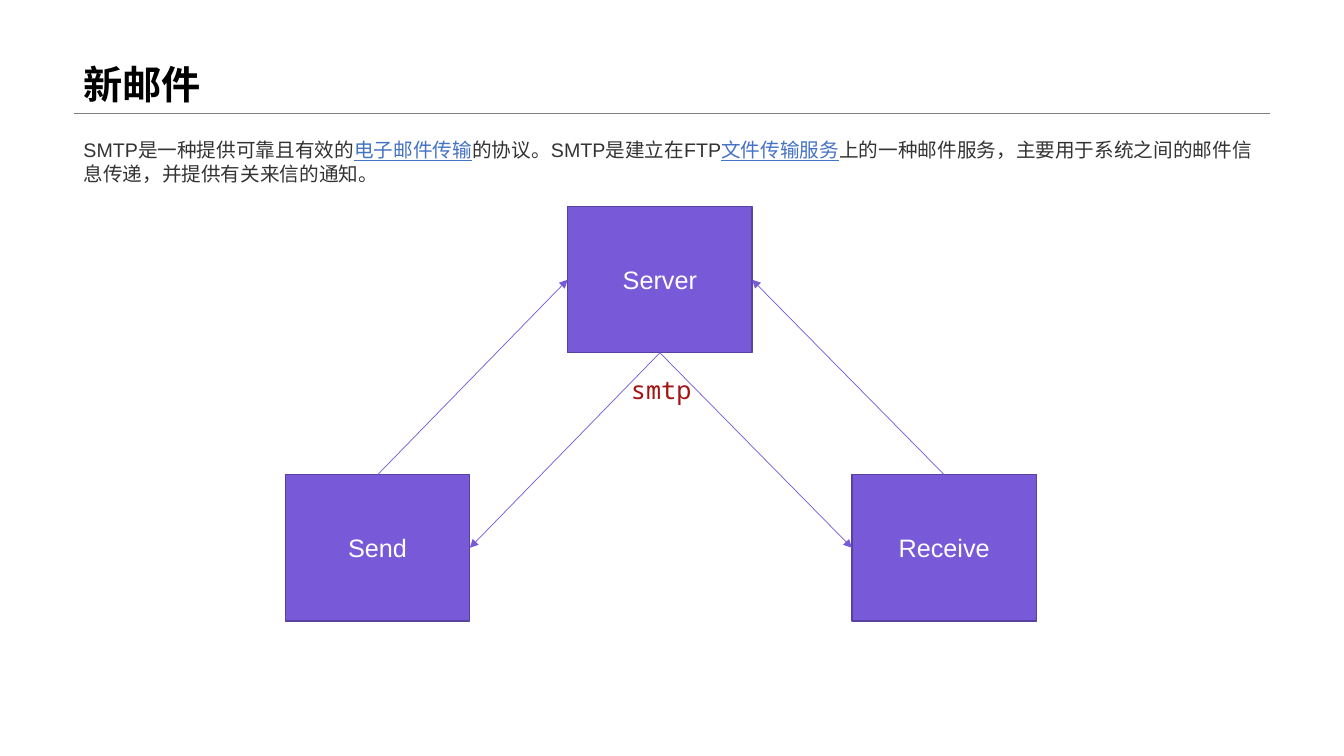
"""Build the slide that shows how SMTP mail travels between sender, server and receiver."""
from dataclasses import dataclass

from lxml.etree import SubElement
from pptx import Presentation
from pptx.dml.color import RGBColor
from pptx.enum.shapes import MSO_CONNECTOR, MSO_SHAPE
from pptx.enum.text import MSO_ANCHOR, MSO_AUTO_SIZE, PP_ALIGN
from pptx.oxml.ns import qn
from pptx.util import Inches, Pt


@dataclass(frozen=True)
class Theme:
    font: str = "Arial"
    code_font: str = "Noto Sans Mono"
    title: str = "000000"
    body: str = "333333"
    link: str = "4472C4"
    code: str = "A31515"
    box: str = "7859D7"
    box_edge: str = "59429F"
    box_text: str = "FFFFFF"
    rule: str = "808080"
    title_size: int = 28
    label_size: int = 18
    body_size: int = 14


THEME = Theme()
TITLE = "新邮件"
DESCRIPTION = [
    ("SMTP是一种提供可靠且有效的", False),
    ("电子邮件传输", True),
    ("的协议。SMTP是建立在FTP", False),
    ("文件传输服务", True),
    ("上的一种邮件服务，主要用于系统之间的邮件信息传递，并提供有关来信的通知。", False),
]
PROTOCOL = "smtp"
BOXES = {"Send": (2.83, 4.71), "Receive": (8.45, 4.71), "Server": (5.63, 2.05)}
TOP, LEFT, BOTTOM, RIGHT = range(4)
ARROWS = [
    ("Receive", TOP, "Server", RIGHT),
    ("Send", TOP, "Server", LEFT),
    ("Server", BOTTOM, "Receive", LEFT),
    ("Server", BOTTOM, "Send", RIGHT),
]
MARGIN, CONTENT_WIDTH, RULE_TOP = 0.73, 11.87, 1.12
BOX_WIDTH, BOX_HEIGHT = 1.83, 1.45


def color(value):
    return RGBColor.from_string(value)


def add_run(paragraph, text, size, ink, font=THEME.font, bold=False, underline=False):
    run = paragraph.add_run()
    run.text = text
    run.font.name = font
    run.font.size = Pt(size)
    run.font.bold = bold
    run.font.underline = underline
    run.font.color.rgb = color(ink)


def add_line(slide, start, end, ink, width):
    points = [Inches(value) for value in (*start, *end)]
    line = slide.shapes.add_connector(MSO_CONNECTOR.STRAIGHT, *points)
    line.line.color.rgb = color(ink)
    line.line.width = Pt(width)
    SubElement(line._element.spPr, qn("a:effectLst"))
    return line


def add_title(slide):
    title = slide.shapes.title
    title.left, title.top = Inches(MARGIN), Inches(0)
    title.width, title.height = Inches(CONTENT_WIDTH), Inches(RULE_TOP)
    frame = title.text_frame
    frame.auto_size = MSO_AUTO_SIZE.NONE
    frame.vertical_anchor = MSO_ANCHOR.BOTTOM
    paragraph = frame.paragraphs[0]
    paragraph.alignment = PP_ALIGN.LEFT
    paragraph.line_spacing = 0.9
    add_run(paragraph, TITLE, THEME.title_size, THEME.title, bold=True)


def add_box(slide, label, left, top):
    box = slide.shapes.add_shape(
        MSO_SHAPE.RECTANGLE, Inches(left), Inches(top), Inches(BOX_WIDTH), Inches(BOX_HEIGHT)
    )
    box.shadow.inherit = False
    box.fill.solid()
    box.fill.fore_color.rgb = color(THEME.box)
    box.line.color.rgb = color(THEME.box_edge)
    box.line.width = Pt(1)
    box.text_frame.vertical_anchor = MSO_ANCHOR.MIDDLE
    paragraph = box.text_frame.paragraphs[0]
    paragraph.alignment = PP_ALIGN.CENTER
    add_run(paragraph, label, THEME.label_size, THEME.box_text)
    return box


def add_arrow(slide, source, source_side, target, target_side):
    arrow = add_line(slide, (0, 0), (1, 1), THEME.box, 0.5)
    arrow.begin_connect(source, source_side)
    arrow.end_connect(target, target_side)
    SubElement(arrow.line._get_or_add_ln(), qn("a:tailEnd"), type="triangle")


def add_text(slide, left, top, width, height):
    box = slide.shapes.add_textbox(Inches(left), Inches(top), Inches(width), Inches(height))
    box.text_frame.word_wrap = True
    box.text_frame.auto_size = MSO_AUTO_SIZE.SHAPE_TO_FIT_TEXT
    return box.text_frame.paragraphs[0]


def build():
    presentation = Presentation()
    presentation.slide_width, presentation.slide_height = Inches(13.33), Inches(7.5)
    slide = presentation.slides.add_slide(presentation.slide_layouts[5])
    add_line(slide, (MARGIN, RULE_TOP), (MARGIN + CONTENT_WIDTH, RULE_TOP), THEME.rule, 0.25)
    add_title(slide)
    boxes = {label: add_box(slide, label, *place) for label, place in BOXES.items()}
    for source, source_side, target, target_side in ARROWS:
        add_arrow(slide, boxes[source], source_side, boxes[target], target_side)
    protocol = add_text(slide, 6.16, 3.66, 0.85, 0.4)
    add_run(protocol, PROTOCOL, THEME.label_size, THEME.code, THEME.code_font)
    description = add_text(slide, MARGIN, 1.32, CONTENT_WIDTH, 0.57)
    for text, is_link in DESCRIPTION:
        ink = THEME.link if is_link else THEME.body
        add_run(description, text, THEME.body_size, ink, underline=is_link)
    presentation.save("out.pptx")


build()
